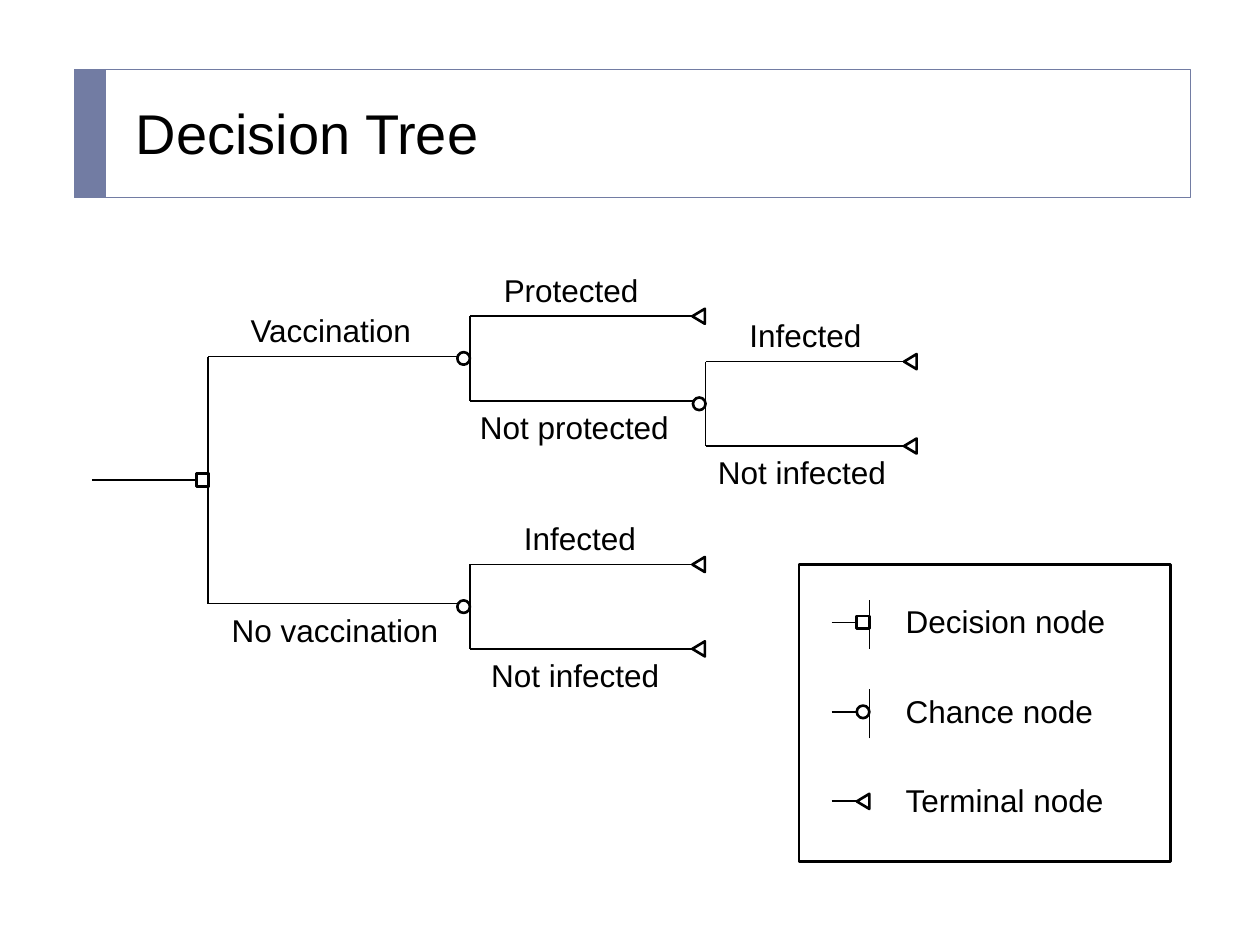
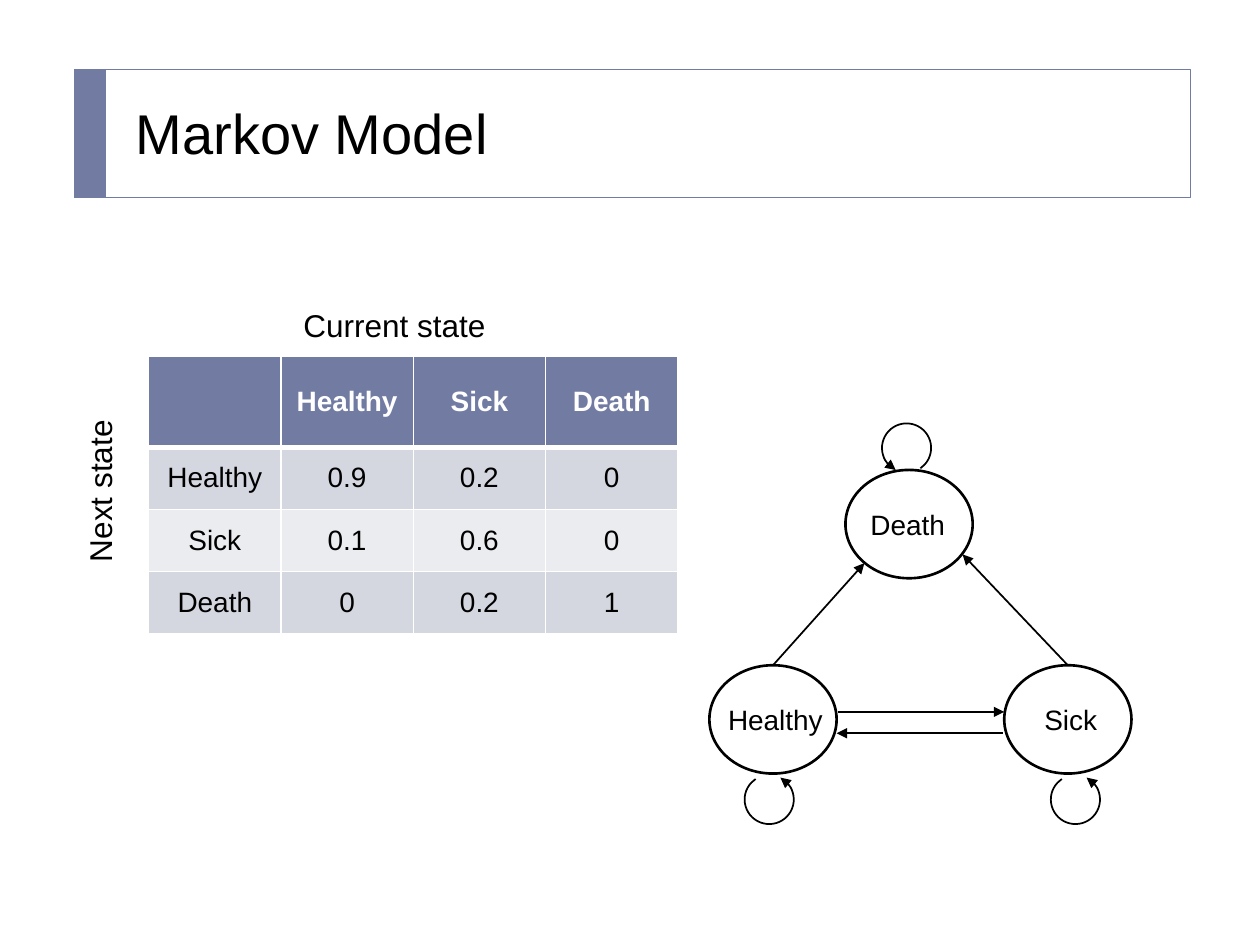
from collections import namedtuple
from pptx import Presentation
from pptx.dml.color import RGBColor as Rgb
from pptx.enum.shapes import MSO_CONNECTOR as Link, MSO_SHAPE as Form
from pptx.enum.text import MSO_ANCHOR as Anchor, PP_ALIGN as Align
from pptx.oxml import parse_xml
from pptx.oxml.ns import nsdecls, qn
from pptx.util import Inches, Pt

# The slide is a grid of 100 columns by 75 rows of square cells.
COLS, ROWS = 100, 75
CELL = Inches(0.1)
COLOR = {"ink": "000000", "paper": "FFFFFF", "accent": "727CA3",
         "odd": "D5D7E0", "even": "EBECF0"}
Box = namedtuple("Box", "x y w h")

TITLE = Box(5.9, 5.5, 88.6, 10.2)
TREE = Box(7.3, 25.1, 65, 26.4)
LEGEND = Box(63.4, 44.8, 29.5, 23.6)
MATRIX = Box(11.8, 28.3, 42, 22)
STATES = Box(56.3, 33.6, 33.5, 31.8)


def rgb(key):
    return Rgb.from_string(COLOR[key])


def grid(*cells):
    return [int(n * CELL) for n in cells]


def style(para, size, color="ink", bold=False, align=Align.LEFT):
    para.alignment = align
    for key, value in {"name": "Arial", "size": Pt(size), "bold": bold}.items():
        setattr(para.font, key, value)
    para.font.color.rgb = rgb(color)


def label(slide, text, x, y, w=22, h=4, size=18, anchor=Anchor.TOP):
    box = slide.shapes.add_textbox(*grid(x, y, w, h))
    frame = box.text_frame
    for key, value in {"word_wrap": True, "margin_right": 0,
                       "vertical_anchor": anchor}.items():
        setattr(frame, key, value)
    frame.text = text
    style(frame.paragraphs[0], size)
    return box


def stroke(item, width, color="ink", tip=None):
    """Draw the outline; tip is headEnd or tailEnd for an arrowhead there."""
    item.line.color.rgb = rgb(color)
    item.line.width = Pt(width)
    if tip:
        ln = item.element.spPr.find(qn("a:ln"))
        ln.append(parse_xml(f'<a:{tip} {nsdecls("a")} type="triangle"/>'))


def shape(slide, form, x, y, w, h, width=1.5, color="ink", tip=None):
    item = slide.shapes.add_shape(form, *grid(x, y, w, h))
    item.shadow.inherit = False
    item.fill.background()
    stroke(item, width, color, tip)
    return item


def line(slide, x1, y1, x2, y2, tip=None):
    item = slide.shapes.add_connector(Link.STRAIGHT, *grid(x1, y1, x2, y2))
    stroke(item, 1, tip=tip)
    item.element.spPr.append(parse_xml(f'<a:effectLst {nsdecls("a")}/>'))
    return item


def mark(slide, form, x, y):
    """Draw a tree node centred on x, y."""
    w = 1.2 if form == Form.ISOSCELES_TRIANGLE else 1
    node = shape(slide, form, x - w / 2, y - 0.5, w, 1)
    if form == Form.ISOSCELES_TRIANGLE:
        node.rotation = 270
    return node


def lead(slide, form, x, y, size):
    """Draw a line of the given size that runs into a node."""
    stem = line(slide, x, y, x + size, y)
    node = mark(slide, form, x + size + 0.5, y)
    if form == Form.RECTANGLE:
        stem.end_connect(node, 1)


def fork(slide, box, upper, lower):
    """Draw a spine with two branches, each given as (text, indent, ends)."""
    x, y, w, h = box
    line(slide, x, y + h, x, y)
    for (text, indent, ends), row, gap in ((upper, y, -4.1), (lower, y + h, 0.1)):
        line(slide, x, row, x + w, row)
        label(slide, text, x + indent, row + gap)
        if ends:
            mark(slide, Form.ISOSCELES_TRIANGLE, x + w + 0.45, row)


def banner(slide, box, text):
    x, y, w, h = box
    shape(slide, Form.RECTANGLE, *box, width=0.5, color="accent")
    band = shape(slide, Form.RECTANGLE, x, y, 2.5, h, width=0.5, color="accent")
    band.fill.solid()
    band.fill.fore_color.rgb = rgb("accent")
    band.line.fill.background()
    label(slide, text, x + 3.9, y + 1.5, w - 5.5, 7, 32, Anchor.MIDDLE)


def tree(slide, box):
    forks = [
        (Box(9.2, 3.2, 19.8, 19.6), ("Vaccination", 2.4, False),
         ("No vaccination", 0.9, False)),
        (Box(30, 0, 17.7, 6.7), ("Protected", 1.7, True),
         ("Not protected", -0.2, False)),
        (Box(48.7, 3.6, 15.8, 6.7), ("Infected", 2.5, True),
         ("Not infected", 0, True)),
        (Box(30, 19.7, 17.7, 6.7), ("Infected", 3.3, True),
         ("Not infected", 0.7, True)),
    ]
    for at, upper, lower in forks:
        spot = Box(box.x + at.x, box.y + at.y, at.w, at.h)
        fork(slide, spot, upper, lower)
        mid = spot.y + spot.h / 2
        if at is forks[0][0]:
            lead(slide, Form.RECTANGLE, box.x, mid, at.x - 0.9)
        else:
            mark(slide, Form.OVAL, spot.x - 0.5, mid)


def legend(slide, box):
    shape(slide, Form.RECTANGLE, *box)
    keys = [("Decision node", Form.RECTANGLE), ("Chance node", Form.OVAL),
            ("Terminal node", Form.ISOSCELES_TRIANGLE)]
    for i, (text, form) in enumerate(keys):
        y = box.y + 4.6 + 7.1 * i
        lead(slide, form, box.x + 2.6, y, 2)
        if form != Form.ISOSCELES_TRIANGLE:
            line(slide, box.x + 5.6, y + 2.1, box.x + 5.6, y - 1.8)
        label(slide, text, box.x + 7.5, y - 2.1, 21)


def edge(cell, side, width):
    cell._tc.get_or_add_tcPr().append(parse_xml(
        f'<a:ln{side} {nsdecls("a")} w="{Pt(width)}"><a:solidFill>'
        f'<a:srgbClr val="{COLOR["paper"]}"/></a:solidFill></a:ln{side}>'))


def matrix(slide, box):
    rows = [("", "Healthy", "Sick", "Death"), ("Healthy", "0.9", "0.2", "0"),
            ("Sick", "0.1", "0.6", "0"), ("Death", "0", "0.2", "1")]
    table = slide.shapes.add_table(len(rows), len(rows[0]), *grid(*box)).table
    for col in table.columns:
        col.width = grid(box.w / len(rows[0]))[0]
    for r, row in enumerate(rows):
        head = r == 0
        table.rows[r].height = grid(7.2 if head else 4.93)[0]
        fill = "accent" if head else "odd" if r % 2 else "even"
        for c, text in enumerate(row):
            cell = table.cell(r, c)
            widths = {"L": 1, "R": 1, "T": 3 if r == 1 else 1, "B": 3 if head else 1}
            for side, width in widths.items():
                edge(cell, side, width)
            cell.fill.solid()
            cell.fill.fore_color.rgb = rgb(fill)
            cell.vertical_anchor = Anchor.MIDDLE
            cell.text = text
            style(cell.text_frame.paragraphs[0], 16, "paper" if head else "ink",
                  head, Align.CENTER)
    label(slide, "Current state", box.x + 11.3, box.y - 4.5, 17)
    side = label(slide, "Next state", box.x - 10.25, box.y + 8.95, 12.7)
    side.rotation = 270


def states(slide, box):
    x, y = box.x, box.y
    # name: left, top, text indent, loop offset, loop turn
    spots = {"Death": (10.8, 3.7, 1, (2.9, -3.7), 72.7),
             "Healthy": (0, 19.2, 0.5, (2.8, 8.7), 253.5),
             "Sick": (23.4, 19.2, 2.2, (3.7, 8.7), 253.5)}
    ovals = {}
    for name, (left, top, indent, (dx, dy), turn) in spots.items():
        left, top = x + left, y + top
        ovals[name] = shape(slide, Form.OVAL, left, top, 10.1, 8.6)
        label(slide, name, left + indent, top + 2.5, 10, 3.7, 16)
        loop = shape(slide, Form.ARC, left + dx, top + dy, 3.9, 3.9, 1, tip="headEnd")
        loop.adjustments[0], loop.adjustments[1] = 26.08, 205.78
        loop.rotation = turn
    for name, x2, y2 in (("Healthy", 12.3, 11.1), ("Sick", 20.1, 10.4)):
        rise = line(slide, x, y, x + x2, y + y2, "tailEnd")
        rise.begin_connect(ovals[name], 0)
    for x1, x2, row in ((10.2, 23.4, 22.9), (23.3, 10.1, 24.6)):
        line(slide, x + x1, y + row, x + x2, y + row, "tailEnd")


def main():
    deck = Presentation()
    deck.slide_width, deck.slide_height = grid(COLS, ROWS)
    pages = {"Decision Tree": ((tree, TREE), (legend, LEGEND)),
             "Markov Model": ((matrix, MATRIX), (states, STATES))}
    for title, parts in pages.items():
        slide = deck.slides.add_slide(deck.slide_layouts[6])
        banner(slide, TITLE, title)
        for draw, box in parts:
            draw(slide, box)
    deck.save("out.pptx")


if __name__ == "__main__":
    main()
